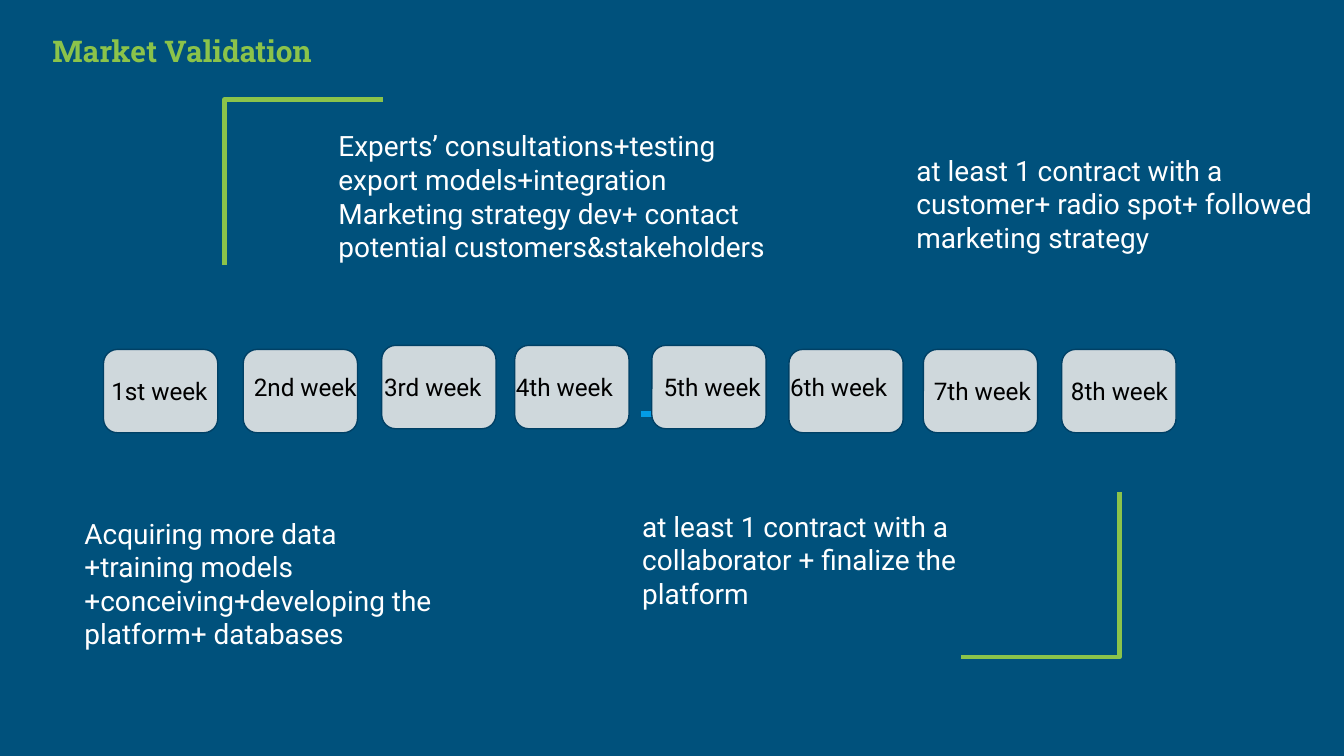
from lxml.etree import SubElement
from pptx import Presentation
from pptx.dml.color import RGBColor
from pptx.enum.shapes import MSO_CONNECTOR, MSO_SHAPE
from pptx.enum.text import MSO_ANCHOR, MSO_AUTO_SIZE, PP_ALIGN
from pptx.oxml.ns import qn
from pptx.util import Inches, Pt

COLORS = {
    "background": "00517C",
    "accent": "8BC34A",
    "dash": "039BE5",
    "card": "CFD8DC",
    "card_line": "004065",
    "label": "000000",
    "note": "FFFFFF",
}
SLIDE_WIDTH = Inches(10)
SLIDE_HEIGHT = SLIDE_WIDTH * 9 // 16
CELL = SLIDE_WIDTH / 100  # the slide is a grid of 100 columns of square cells
CARD_WIDTH, CARD_HEIGHT = 8.5, 6.2

# Label, card column, card row, then the label's column and row within the
# timeline and its width
WEEKS = [
    ("1st week", 0, 0.3, -0.4, 1.3, 12.2),
    ("2nd week", 10.4, 0.3, 10.2, 1, 10.5),
    ("3rd week", 20.7, 0, 19.9, 1, 9.3),
    ("4th week", 30.6, 0, 29.7, 1, 9.3),
    ("5th week", 40.8, 0, 40.7, 1, 9.3),
    ("6th week", 51, 0.3, 50.1, 1, 12.2),
    ("7th week", 61, 0.3, 60.8, 1.3, 12.2),
    ("8th week", 71.3, 0.3, 71, 1.3, 12.2),
]
NOTES = [
    ((5.3, 37.4, 35.7, 12.1), ["Acquiring more data", "+training models",
                               "+conceiving+developing the platform+ databases"]),
    ((24.2, 8.6, 35.7, 12.1), ["Experts’ consultations+testing", "export models+integration",
                               "Marketing strategy dev+ contact potential customers&stakeholders"]),
    ((46.8, 36.9, 31.8, 9.6), ["at least 1 contract with a collaborator + finalize the platform"]),
    ((67.2, 10.4, 31.8, 9.6), ["at least 1 contract with a customer+ radio spot+ followed "
                               "marketing strategy"]),
]


def cells(*counts):
    return [round(count * CELL) for count in counts]


def color(name):
    return RGBColor.from_string(COLORS[name])


def write(shape, lines, font_name, size, color_name, bold=False):
    frame = shape.text_frame
    frame.word_wrap = True
    frame.margin_left = frame.margin_right = Inches(0.1)
    frame.margin_top = frame.margin_bottom = Inches(0.1)
    frame.text = "\n".join(lines)
    for paragraph in frame.paragraphs:
        paragraph.alignment = PP_ALIGN.LEFT
        for run in paragraph.runs:
            run.font.name = font_name
            run.font.size = Pt(size)
            run.font.bold = bold
            run.font.color.rgb = color(color_name)


def add_text(slide, box, lines, size, color_name):
    text_box = slide.shapes.add_textbox(*cells(*box))
    write(text_box, lines, "Roboto", size, color_name)
    text_box.text_frame.auto_size = MSO_AUTO_SIZE.SHAPE_TO_FIT_TEXT


def add_title(slide, box):
    title = slide.shapes.title
    title.left, title.top, title.width, title.height = cells(*box)
    write(title, ["Market Validation"], "Roboto Slab", 16, "accent", bold=True)
    title.text_frame.auto_size = MSO_AUTO_SIZE.NONE
    title.text_frame.vertical_anchor = MSO_ANCHOR.BOTTOM
    title.text_frame.paragraphs[0].line_spacing = 1.15


def add_bracket(slide, box, opens_right):
    """Draw the top-left corner of the box, or its bottom-right corner."""
    left, top, width, height = cells(*box)
    right, bottom = left + width, top + height
    corner = (left, top) if opens_right else (right, bottom)
    builder = slide.shapes.build_freeform(corner[0], bottom if opens_right else top)
    builder.add_line_segments([corner, (right if opens_right else left, corner[1])], close=False)
    bracket = builder.convert_to_shape()
    bracket.shadow.inherit = False
    bracket.fill.background()
    bracket.line.color.rgb = color("accent")
    bracket.line.width = Pt(2.25)


def add_dash(slide, left, top, width):
    dash = slide.shapes.add_connector(
        MSO_CONNECTOR.STRAIGHT, *cells(left, top, left + width, top))
    dash.line.color.rgb = color("dash")
    dash.line.width = Pt(3)
    SubElement(dash._element.spPr, qn("a:effectLst"))


def add_card(slide, left, top):
    card = slide.shapes.add_shape(
        MSO_SHAPE.ROUNDED_RECTANGLE, *cells(left, top, CARD_WIDTH, CARD_HEIGHT))
    card.shadow.inherit = False
    card.fill.solid()
    card.fill.fore_color.rgb = color("card")
    card.line.color.rgb = color("card_line")
    card.line.width = Pt(0.75)


def add_timeline(slide, left, top):
    add_dash(slide, left + 40, top + 5.1, 4.6)
    for _, column, row, *_ in WEEKS:
        add_card(slide, left + column, top + row)
    for label, _, _, column, row, width in WEEKS:
        add_text(slide, (left + column, top + row, width, 4.2), [label], 13, "label")


def main():
    presentation = Presentation()
    presentation.slide_width, presentation.slide_height = SLIDE_WIDTH, SLIDE_HEIGHT
    slide = presentation.slides.add_slide(presentation.slide_layouts[5])
    slide.background.fill.solid()
    slide.background.fill.fore_color.rgb = color("background")

    add_bracket(slide, (16.7, 7.4, 11.8, 12.3), opens_right=True)
    add_bracket(slide, (71.5, 36.6, 11.8, 12.3), opens_right=False)
    add_title(slide, (2.9, 1.2, 22.6, 4.9))
    add_timeline(slide, 7.7, 25.7)
    for box, lines in NOTES:
        add_text(slide, box, lines, 15, "note")
    presentation.save("out.pptx")


if __name__ == "__main__":
    main()
